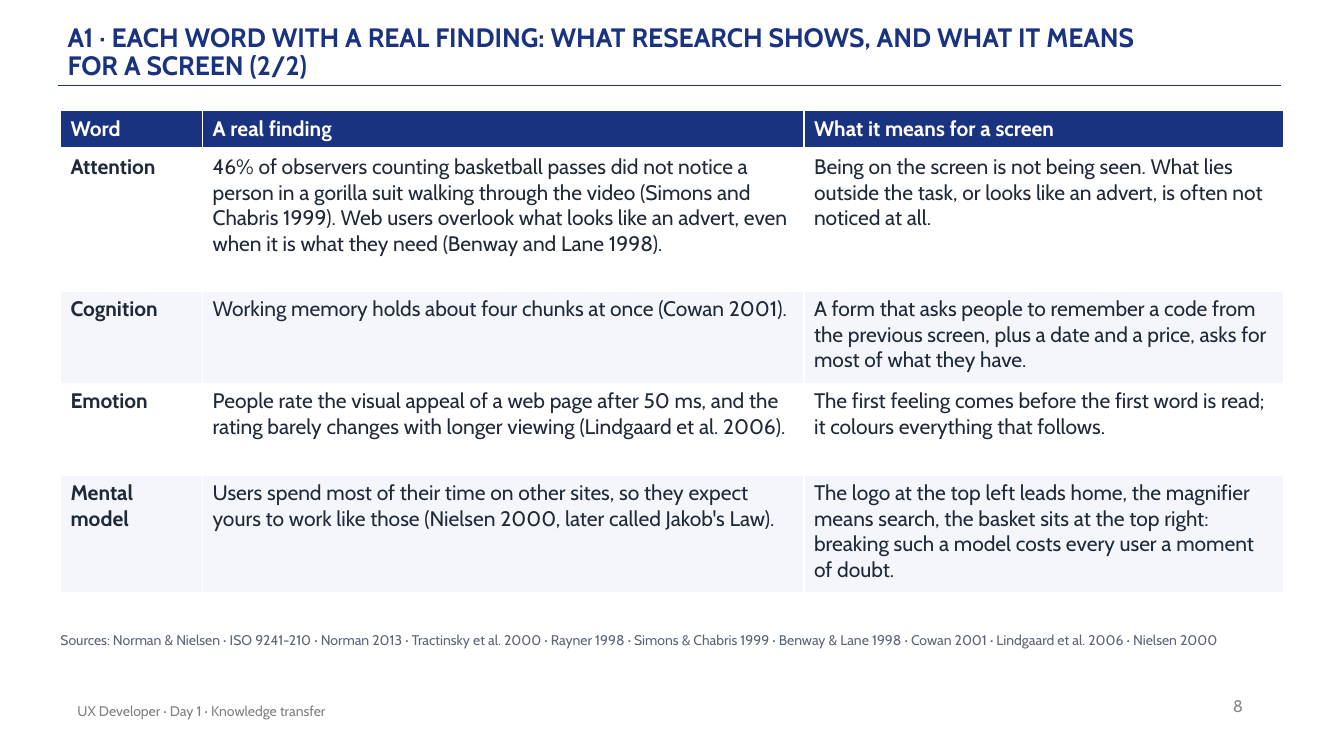
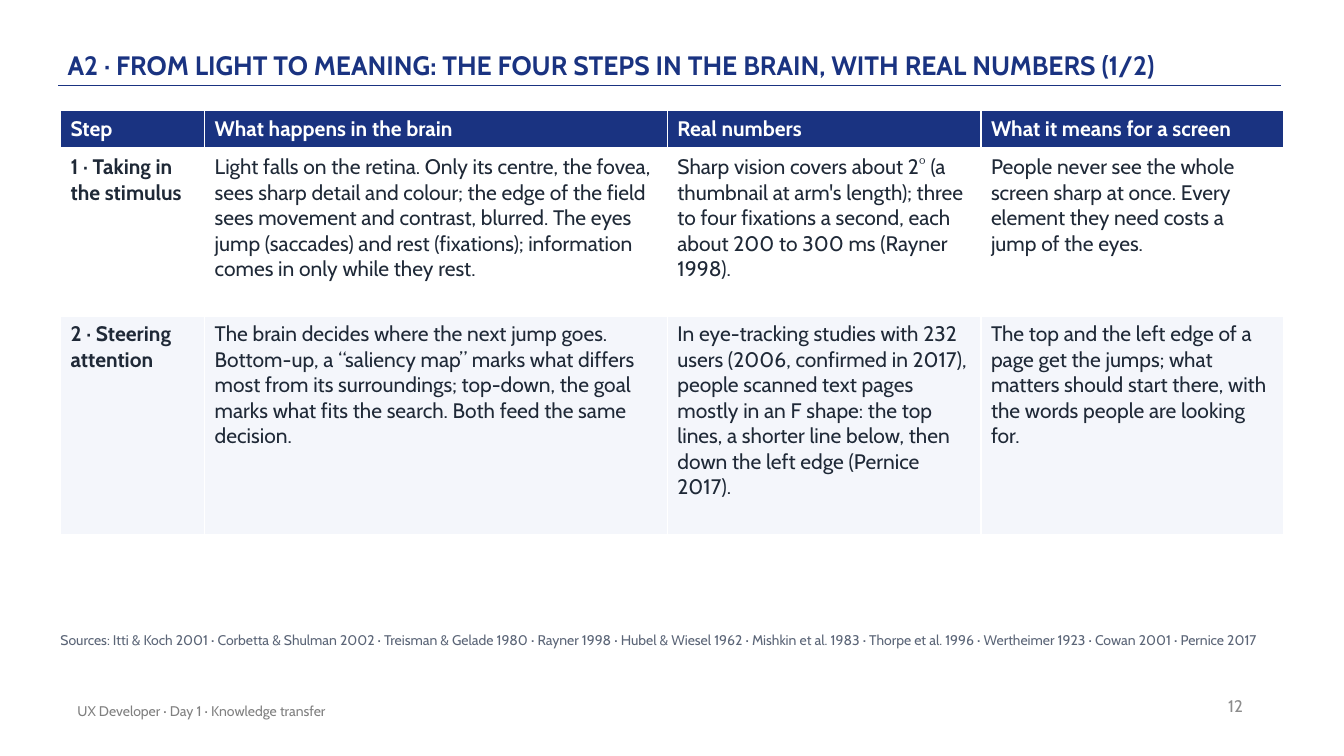
from lxml import etree
from pptx import Presentation
from pptx.dml.color import RGBColor
from pptx.enum.shapes import MSO_CONNECTOR
from pptx.enum.text import MSO_ANCHOR as ANCHOR, PP_ALIGN as ALIGN
from pptx.oxml.ns import qn
from pptx.util import Pt

FONT = "Cabin"
NAVY, WHITE, STRIPE, INK = "1A3381", "FFFFFF", "F4F6FB", "1F2937"
SLIDE_W, SLIDE_H = 960, 540
TITLE_BOX = (48.24, 8.64, 792, 51.84)
RULE = (41.76, 61.2, 915.12)
NUMBER_BOX = (678.96, 489.6, 216, 28.8)
FOOTER_BOX = (48.24, 493.2, 482.4, 28.8)
TABLE_AT = (43.2, 79.2)
SOURCES_BOX = (43.2, 451.44, 871.2, 21.6)
HEADER_H = 27.36
FOOTER = "UX Developer · Day 1 · Knowledge transfer"

SLIDES = [
    dict(
        title="A1 · EACH WORD WITH A REAL FINDING: WHAT RESEARCH SHOWS, "
              "AND WHAT IT MEANS FOR A SCREEN (2/2)",
        number=8,
        widths=(101.5, 429.6, 342.5),
        heights=(101.5, 65.8, 65.8, 83.5),
        rows=[
            ("Word", "A real finding", "What it means for a screen"),
            ("Attention",
             "46% of observers counting basketball passes did not notice a person in a "
             "gorilla suit walking through the video (Simons and Chabris 1999). Web users "
             "overlook what looks like an advert, even when it is what they need "
             "(Benway and Lane 1998).",
             "Being on the screen is not being seen. What lies outside the task, or looks "
             "like an advert, is often not noticed at all."),
            ("Cognition",
             "Working memory holds about four chunks at once (Cowan 2001).",
             "A form that asks people to remember a code from the previous screen, plus a "
             "date and a price, asks for most of what they have."),
            ("Emotion",
             "People rate the visual appeal of a web page after 50 ms, and the rating "
             "barely changes with longer viewing (Lindgaard et al. 2006).",
             "The first feeling comes before the first word is read; it colours "
             "everything that follows."),
            ("Mental model",
             "Users spend most of their time on other sites, so they expect yours to work "
             "like those (Nielsen 2000, later called Jakob's Law).",
             "The logo at the top left leads home, the magnifier means search, the basket "
             "sits at the top right: breaking such a model costs every user a moment of "
             "doubt."),
        ],
        sources="Sources: Norman & Nielsen · ISO 9241-210 · Norman 2013 · Tractinsky et al. "
                "2000 · Rayner 1998 · Simons & Chabris 1999 · Benway & Lane 1998 · Cowan 2001 "
                "· Lindgaard et al. 2006 · Nielsen 2000",
    ),
    dict(
        title="A2 · FROM LIGHT TO MEANING: THE FOUR STEPS IN THE BRAIN, "
              "WITH REAL NUMBERS (1/2)",
        number=12,
        widths=(103, 330.5, 224, 216),
        heights=(119.5, 155.5),
        rows=[
            ("Step", "What happens in the brain", "Real numbers",
             "What it means for a screen"),
            ("1 · Taking in the stimulus",
             "Light falls on the retina. Only its centre, the fovea, sees sharp detail and "
             "colour; the edge of the field sees movement and contrast, blurred. The eyes "
             "jump (saccades) and rest (fixations); information comes in only while they "
             "rest.",
             "Sharp vision covers about 2° (a thumbnail at arm's length); three to four "
             "fixations a second, each about 200 to 300 ms (Rayner 1998).",
             "People never see the whole screen sharp at once. Every element they need "
             "costs a jump of the eyes."),
            ("2 · Steering attention",
             "The brain decides where the next jump goes. Bottom-up, a “saliency map” marks "
             "what differs most from its surroundings; top-down, the goal marks what fits "
             "the search. Both feed the same decision.",
             "In eye-tracking studies with 232 users (2006, confirmed in 2017), people "
             "scanned text pages mostly in an F shape: the top lines, a shorter line below, "
             "then down the left edge (Pernice 2017).",
             "The top and the left edge of a page get the jumps; what matters should start "
             "there, with the words people are looking for."),
        ],
        sources="Sources: Itti & Koch 2001 · Corbetta & Shulman 2002 · Treisman & Gelade 1980 "
                "· Rayner 1998 · Hubel & Wiesel 1962 · Mishkin et al. 1983 · Thorpe et al. "
                "1996 · Wertheimer 1923 · Cowan 2001 · Pernice 2017",
    ),
]


def rgb(value):
    return RGBColor.from_string(value)


def set_attrs(obj, values):
    for name, value in values.items():
        setattr(obj, name, value)


def write(tf, text, size, color, bold=False, **para):
    p = tf.paragraphs[0]
    set_attrs(p, para)
    r = p.add_run()
    r.text = text
    set_attrs(r.font, dict(name=FONT, size=Pt(size), bold=bold))
    r.font.color.rgb = rgb(color)


def add_text(s, box, text, size, color, bold=False, frame=None, **para):
    """Add a text box; frame holds text frame settings, para paragraph settings."""
    tf = s.shapes.add_textbox(*map(Pt, box)).text_frame
    set_attrs(tf, dict(word_wrap=True, **(frame or {})))
    write(tf, text, size, color, bold, **para)


def margins(side, edge):
    return dict(margin_left=Pt(side), margin_right=Pt(side),
                margin_top=Pt(edge), margin_bottom=Pt(edge))


def add_rule(s, left, y, right):
    line = s.shapes.add_connector(MSO_CONNECTOR.STRAIGHT, Pt(left), Pt(y), Pt(right), Pt(y))
    line.line.color.rgb = rgb(NAVY)
    line.line.width = Pt(1)
    etree.SubElement(line._element.spPr, qn("a:effectLst"))


def set_borders(cell, widths):
    """Draw white borders; widths maps an edge letter to points."""
    tc_pr = cell._tc.get_or_add_tcPr()
    for i, (edge, width) in enumerate(widths.items()):
        ln = etree.Element(qn(f"a:ln{edge}"), w=str(Pt(width)))
        fill = etree.SubElement(ln, qn("a:solidFill"))
        etree.SubElement(fill, qn("a:srgbClr"), val=WHITE)
        tc_pr.insert(i, ln)


def add_findings_table(s, left, top, widths, heights, rows):
    heights = (HEADER_H, *heights)
    table = s.shapes.add_table(len(rows), len(widths), Pt(left), Pt(top),
                               Pt(sum(widths)), Pt(sum(heights))).table
    for col, width in zip(table.columns, widths):
        col.width = Pt(width)
    for i, (row, height, texts) in enumerate(zip(table.rows, heights, rows)):
        row.height = Pt(height)
        header = i == 0
        fill = NAVY if header else (STRIPE, WHITE)[i % 2]
        edges = dict(L=1, R=1, T=3 if i == 1 else 1, B=3 if header else 1)
        for j, (cell, text) in enumerate(zip(row.cells, texts)):
            cell.fill.solid()
            cell.fill.fore_color.rgb = rgb(fill)
            set_borders(cell, edges)
            write(cell.text_frame, text, 15, WHITE if header else INK, header or j == 0)


def add_frame(s, title, number):
    """Add the title, its rule, the page number and the footer."""
    add_rule(s, *RULE)
    add_text(s, TITLE_BOX, title, 19, NAVY, True,
             dict(vertical_anchor=ANCHOR.BOTTOM, **margins(0, 2.16)), line_spacing=0.9)
    middle = dict(vertical_anchor=ANCHOR.MIDDLE)
    add_text(s, NUMBER_BOX, str(number), 12, "8C8C8C", frame=middle, alignment=ALIGN.RIGHT)
    add_text(s, FOOTER_BOX, FOOTER, 10, "808080", frame=middle)


def add_findings_slide(prs, title, number, widths, heights, rows, sources):
    s = prs.slides.add_slide(prs.slide_layouts[6])
    add_frame(s, title, number)
    add_findings_table(s, *TABLE_AT, widths, heights, rows)
    add_text(s, SOURCES_BOX, sources, 10, "5B6577", frame=margins(0, 0), space_after=Pt(6))


def main():
    prs = Presentation()
    set_attrs(prs, dict(slide_width=Pt(SLIDE_W), slide_height=Pt(SLIDE_H)))
    for content in SLIDES:
        add_findings_slide(prs, **content)
    prs.save("out.pptx")


if __name__ == "__main__":
    main()
